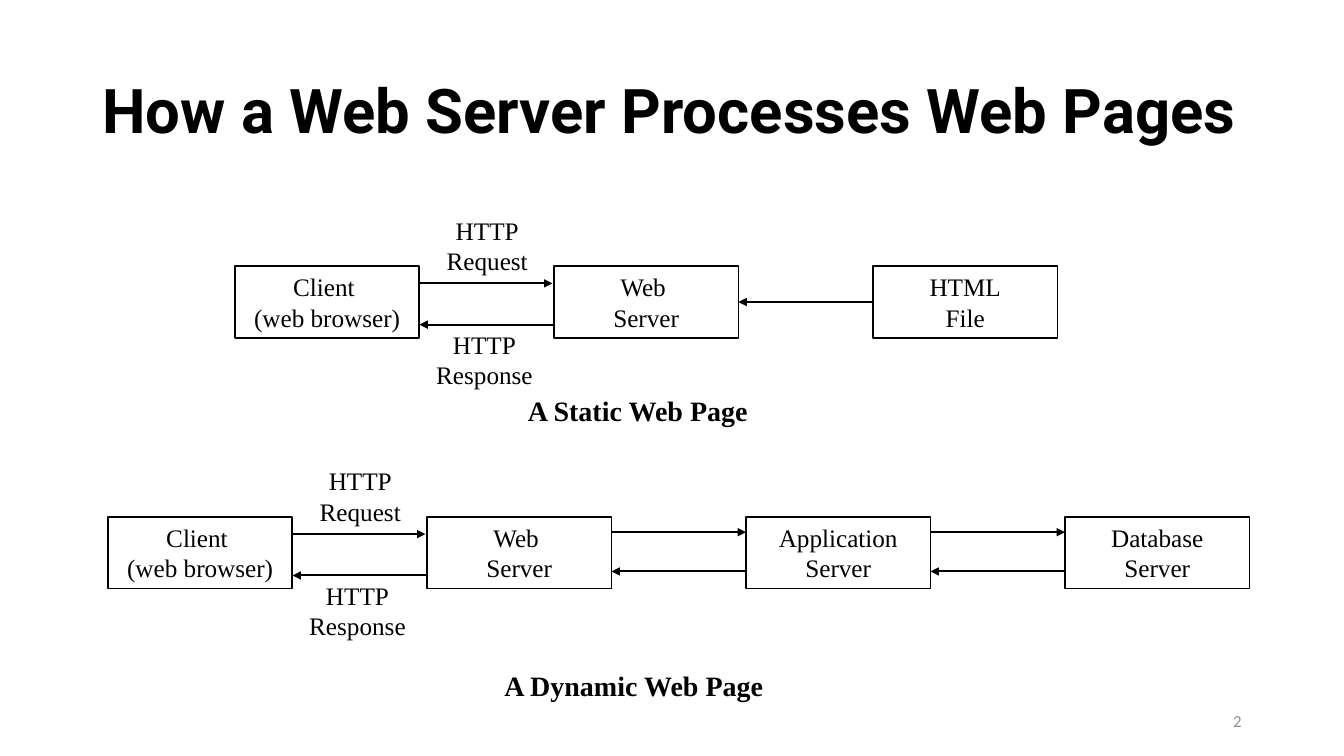
from lxml import etree
from pptx import Presentation
from pptx.dml.color import RGBColor
from pptx.enum.shapes import MSO_CONNECTOR, MSO_SHAPE
from pptx.enum.text import MSO_ANCHOR, MSO_AUTO_SIZE, PP_ALIGN
from pptx.oxml.ns import qn
from pptx.util import Cm, Pt

BLACK = RGBColor(0x00, 0x00, 0x00)
GRAY = RGBColor(0x8C, 0x8C, 0x8C)
RECTANGLE = MSO_SHAPE.RECTANGLE
STRAIGHT = MSO_CONNECTOR.STRAIGHT
TOP, MIDDLE = MSO_ANCHOR.TOP, MSO_ANCHOR.MIDDLE
LEFT, CENTER, RIGHT = PP_ALIGN.LEFT, PP_ALIGN.CENTER, PP_ALIGN.RIGHT
FIT_SHAPE = MSO_AUTO_SIZE.SHAPE_TO_FIT_TEXT

BOX_WIDTH, BOX_HEIGHT, BOX_PITCH = 4.65, 1.8, 8.04
LABEL_WIDTH = 3.38

BODY = {"name": "Times New Roman", "size": Pt(18), "bold": False}
CAPTION = {"name": "Times New Roman", "size": Pt(20), "bold": True}
TITLE = {"name": "Roboto", "size": Pt(44), "bold": True}
NUMBER = {"name": "Calibri", "size": Pt(12), "bold": False}

CLIENT = ["Client ", "(web browser)"]
WEB_SERVER = ["Web ", "Server"]
STATIC_BOXES = [CLIENT, WEB_SERVER, ["HTML", "File"]]
DYNAMIC_BOXES = [CLIENT, WEB_SERVER, ["Application Server"], ["Database", "Server"]]


def write_text(shape, lines, font, color=BLACK, alignment=CENTER, anchor=TOP, spacing=None):
    frame = shape.text_frame
    frame.word_wrap = True
    frame.vertical_anchor = anchor
    for index, line in enumerate(lines):
        paragraph = frame.add_paragraph() if index else frame.paragraphs[0]
        paragraph.alignment = alignment
        paragraph.line_spacing = spacing
        run = paragraph.add_run()
        run.text = line
        for name, value in font.items():
            setattr(run.font, name, value)
        run.font.color.rgb = color


def add_text(slide, left, top, width, height, lines, font, **layout):
    shape = slide.shapes.add_textbox(Cm(left), Cm(top), Cm(width), Cm(height))
    write_text(shape, lines, font, **layout)
    return shape


def add_label(slide, left, top, lines):
    label = add_text(slide, left, top, LABEL_WIDTH, BOX_HEIGHT, lines, BODY)
    label.text_frame.auto_size = FIT_SHAPE


def add_box(slide, left, top, lines):
    box = slide.shapes.add_shape(RECTANGLE, Cm(left), Cm(top), Cm(BOX_WIDTH), Cm(BOX_HEIGHT))
    box.shadow.inherit = False
    box.fill.background()
    box.line.color.rgb = BLACK
    box.line.width = Pt(1.25)
    write_text(box, lines, BODY, anchor=MIDDLE)
    box.text_frame.auto_size = FIT_SHAPE


def add_arrow(slide, start, end, height):
    arrow = slide.shapes.add_connector(STRAIGHT, Cm(start), Cm(height), Cm(end), Cm(height))
    arrow.line.color.rgb = BLACK
    arrow.line.width = Pt(1.5)
    properties = arrow._element.spPr
    etree.SubElement(properties.find(qn("a:ln")), qn("a:tailEnd"), type="triangle")
    etree.SubElement(properties, qn("a:effectLst"))


def add_boxes(slide, left, top, boxes):
    for index, lines in enumerate(boxes):
        add_box(slide, left + index * BOX_PITCH, top, lines)


def add_http_exchange(slide, left, top):
    add_arrow(slide, left + 4.62, left + 8, top + 0.43)
    add_arrow(slide, left + BOX_PITCH, left + BOX_WIDTH, top + 1.47)
    add_label(slide, left + 4.67, top - 1.42, ["HTTP", "Request"])
    add_label(slide, left + 4.6, top + 1.47, ["HTTP", "Response"])


def add_static_page(slide, left, top):
    add_boxes(slide, left, top, STATIC_BOXES)
    add_http_exchange(slide, left, top)
    add_arrow(slide, left + 2 * BOX_PITCH, left + BOX_PITCH + BOX_WIDTH, top + BOX_HEIGHT / 2)


def add_dynamic_page(slide, left, top):
    add_boxes(slide, left, top, DYNAMIC_BOXES)
    add_http_exchange(slide, left, top)
    for index in range(1, len(DYNAMIC_BOXES) - 1):
        start = left + index * BOX_PITCH + BOX_WIDTH
        end = left + (index + 1) * BOX_PITCH
        add_arrow(slide, start, end, top + 0.38)
        add_arrow(slide, end, start, top + 1.37)


def main():
    presentation = Presentation()
    presentation.slide_width = Cm(33.87)
    presentation.slide_height = Cm(19.05)
    slide = presentation.slides.add_slide(presentation.slide_layouts[6])
    add_text(slide, 2.33, 1.01, 29.21, 3.68, ["How a Web Server Processes Web Pages"],
             TITLE, alignment=LEFT, anchor=MIDDLE, spacing=0.9)
    add_static_page(slide, 5.92, 6.71)
    add_dynamic_page(slide, 2.72, 13.03)
    add_text(slide, 9.19, 9.78, 13.77, 1.11, ["A Static Web Page"], CAPTION)
    add_text(slide, 9.09, 16.71, 13.77, 1.11, ["A Dynamic Web Page"], CAPTION)
    add_text(slide, 23.92, 17.66, 7.62, 1.01, ["2"], NUMBER,
             color=GRAY, alignment=RIGHT, anchor=MIDDLE)
    presentation.save("out.pptx")


if __name__ == "__main__":
    main()
